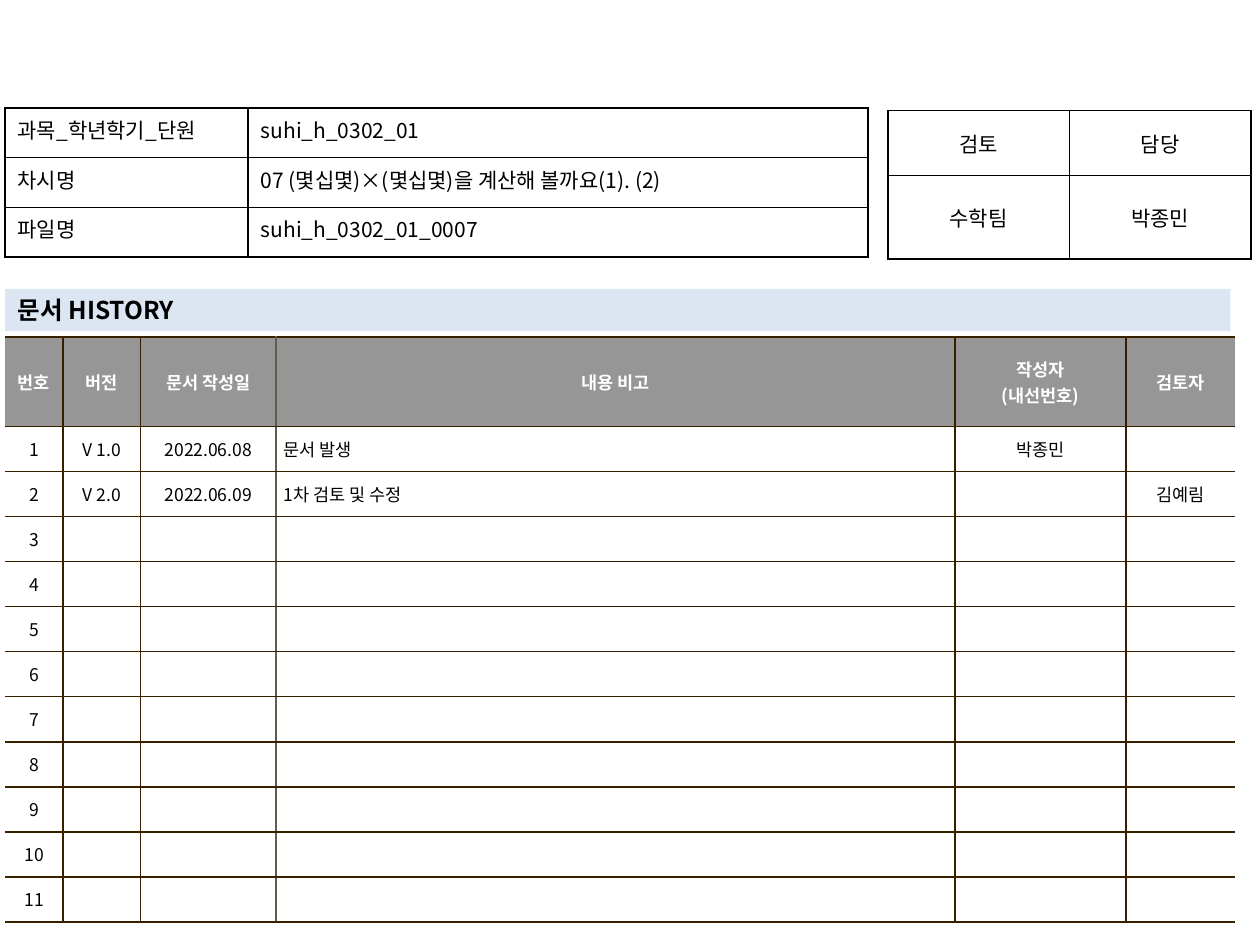
"""Build the document history slide of a lesson storyboard."""
from dataclasses import dataclass

from lxml.etree import SubElement
from pptx import Presentation
from pptx.dml.color import RGBColor as Rgb
from pptx.enum.text import MSO_ANCHOR as Anchor, MSO_AUTO_SIZE as AutoSize, PP_ALIGN as Align
from pptx.oxml.ns import qn
from pptx.util import Pt


@dataclass(frozen=True)
class Theme:
    font: str = "Noto Sans CJK KR"
    ink: str = "000000"
    paper: str = "FFFFFF"
    band: str = "DCE6F2"
    header: str = "969696"
    rule: str = "362000"
    soft_rule: str = "645B4C"
    title_size: float = 14
    info_size: float = 12
    history_size: float = 10


THEME = Theme()
NO_STYLE = "{2D5ABB26-0587-4C30-8999-92F81FD0307C}"

TITLE = "문서 HISTORY"
LESSON = [
    ("과목_학년학기_단원", "suhi_h_0302_01"),
    ("차시명", "07 (몇십몇)×(몇십몇)을 계산해 볼까요(1). (2)"),
    ("파일명", "suhi_h_0302_01_0007"),
]
APPROVAL = [("검토", "담당"), ("수학팀", "박종민")]
HISTORY_HEAD = ("번호", "버전", "문서 작성일", "내용 비고", "작성자\n(내선번호)", "검토자")
REVISIONS = [
    ("V 1.0", "2022.06.08", "문서 발생", "박종민", ""),
    ("V 2.0", "2022.06.09", "1차 검토 및 수정", "", "김예림"),
]
REVISION_COUNT = 11
NOTE_COLUMN = 3


def write(frame, text, size, color=THEME.ink, bold=False, align=Align.LEFT):
    frame.text = text
    for paragraph in frame.paragraphs:
        paragraph.alignment = align
        run = paragraph.runs[0] if paragraph.runs else paragraph.add_run()
        run.font.name = THEME.font
        run.font.size = Pt(size)
        run.font.bold = bold
        run.font.color.rgb = Rgb.from_string(color)
        SubElement(run.font._element, qn("a:ea"), typeface=THEME.font)


def draw_borders(cell, colors):
    properties = cell._tc.get_or_add_tcPr()
    for side in "LRTB":
        if side in colors:
            line = SubElement(properties, qn(f"a:ln{side}"), w=str(Pt(1)))
            fill = SubElement(line, qn("a:solidFill"))
            SubElement(fill, qn("a:srgbClr"), val=colors[side])


def add_grid(slide, left, top, widths, heights):
    frame = slide.shapes.add_table(
        len(heights), len(widths), Pt(left), Pt(top), Pt(sum(widths)), Pt(sum(heights)))
    table = frame.table
    table.first_row = table.horz_banding = False
    table._tbl.tblPr.find(qn("a:tableStyleId")).text = NO_STYLE
    for column, width in zip(table.columns, widths):
        column.width = Pt(width)
    for row, height in zip(table.rows, heights):
        row.height = Pt(height)
    return table


def add_info(slide, content, left, top, widths, heights, aligns, anchor):
    table = add_grid(slide, left, top, widths, heights)
    for r, texts in enumerate(content):
        for c, text in enumerate(texts):
            cell = table.cell(r, c)
            draw_borders(cell, dict.fromkeys("LRTB", THEME.ink))
            cell.fill.background()
            cell.vertical_anchor = anchor
            write(cell.text_frame, text, THEME.info_size, align=aligns[c])


def add_history(slide, left, top, widths, head_height, row_height):
    blanks = [("",) * len(REVISIONS[0])] * (REVISION_COUNT - len(REVISIONS))
    revisions = [(str(n), *row) for n, row in enumerate(REVISIONS + blanks, 1)]
    table = add_grid(slide, left, top, widths, [head_height] + [row_height] * REVISION_COUNT)
    last = len(widths) - 1
    for r, texts in enumerate([HISTORY_HEAD] + revisions):
        is_head = r == 0
        for c, text in enumerate(texts):
            cell = table.cell(r, c)
            borders = {"T": THEME.rule, "B": THEME.rule}
            if c > 0:
                borders["L"] = THEME.soft_rule if c == NOTE_COLUMN else THEME.rule
            if c < last:
                borders["R"] = THEME.soft_rule if c + 1 == NOTE_COLUMN else THEME.rule
            draw_borders(cell, borders)
            cell.fill.solid()
            cell.fill.fore_color.rgb = Rgb.from_string(THEME.header if is_head else THEME.paper)
            cell.vertical_anchor = Anchor.MIDDLE
            cell.margin_left = cell.margin_right = Pt(4.3)
            cell.margin_top = cell.margin_bottom = Pt(2.8)
            is_note = c == NOTE_COLUMN and not is_head
            write(cell.text_frame, text, THEME.history_size,
                  color=THEME.paper if is_head else THEME.ink, bold=is_head,
                  align=Align.LEFT if is_note else Align.CENTER)


def add_title(slide, left, top, width, height):
    title = slide.shapes.title
    title.left, title.top, title.width, title.height = map(Pt, (left, top, width, height))
    title.fill.solid()
    title.fill.fore_color.rgb = Rgb.from_string(THEME.band)
    frame = title.text_frame
    frame.auto_size = AutoSize.NONE
    frame.word_wrap = True
    frame.vertical_anchor = Anchor.MIDDLE
    write(frame, TITLE, THEME.title_size, bold=True)


def main():
    deck = Presentation()
    deck.slide_width, deck.slide_height = Pt(720), Pt(540)
    slide = deck.slides.add_slide(deck.slide_layouts[5])
    left = 2.9
    add_title(slide, left, 165, 700.2, 24.2)
    add_history(slide, left, 192.7, (33.1, 44.2, 77.6, 388, 97.8, 62.5), 51, 20.1)
    add_info(slide, APPROVAL, 507.4, 63.2, (103.7, 103.7), (37.1, 47.8),
             (Align.CENTER, Align.CENTER), Anchor.MIDDLE)
    add_info(slide, LESSON, left, 61.7, (138.9, 354.2), (28.4,) * len(LESSON),
             (Align.JUSTIFY, Align.LEFT), Anchor.TOP)
    deck.save("out.pptx")


if __name__ == "__main__":
    main()
